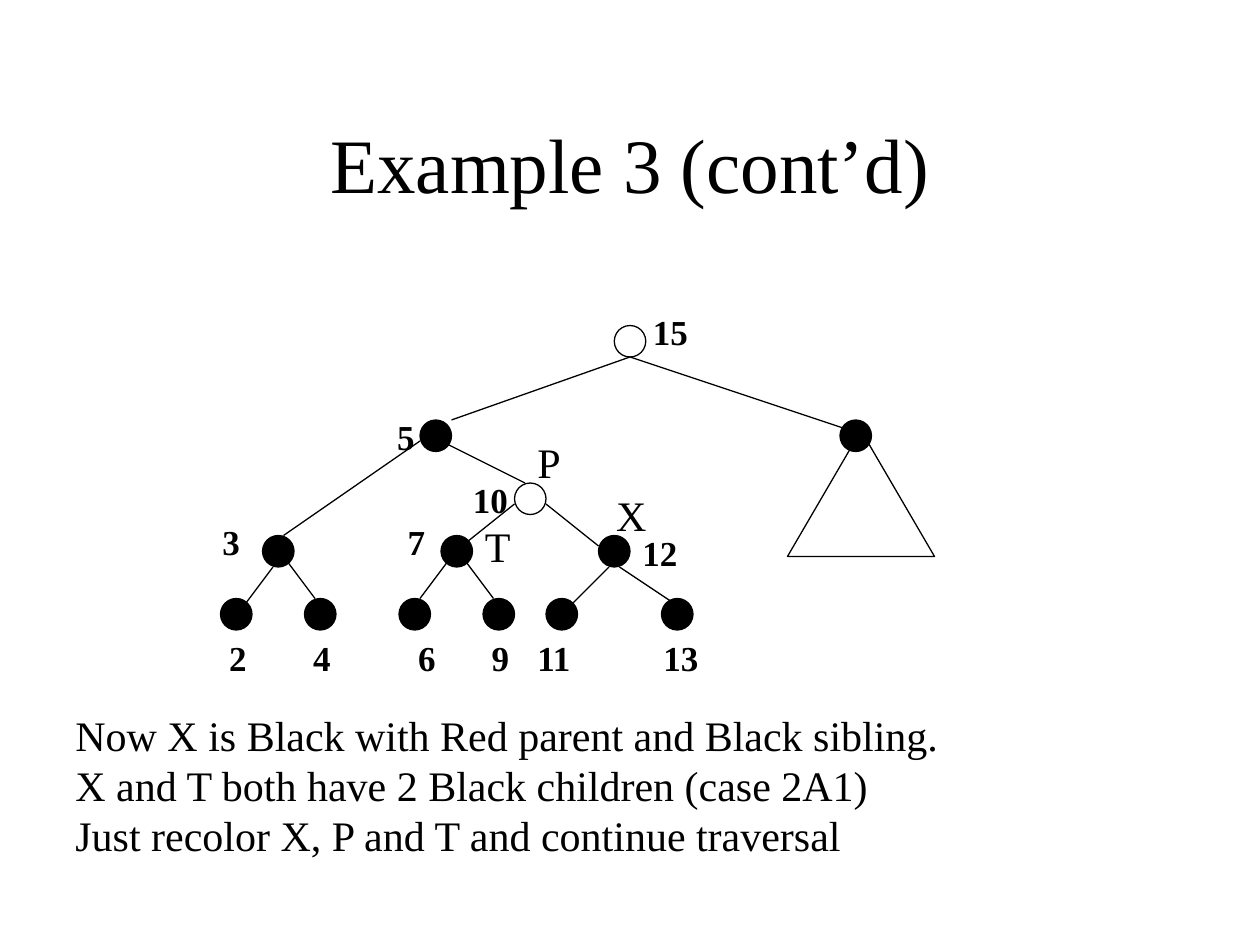
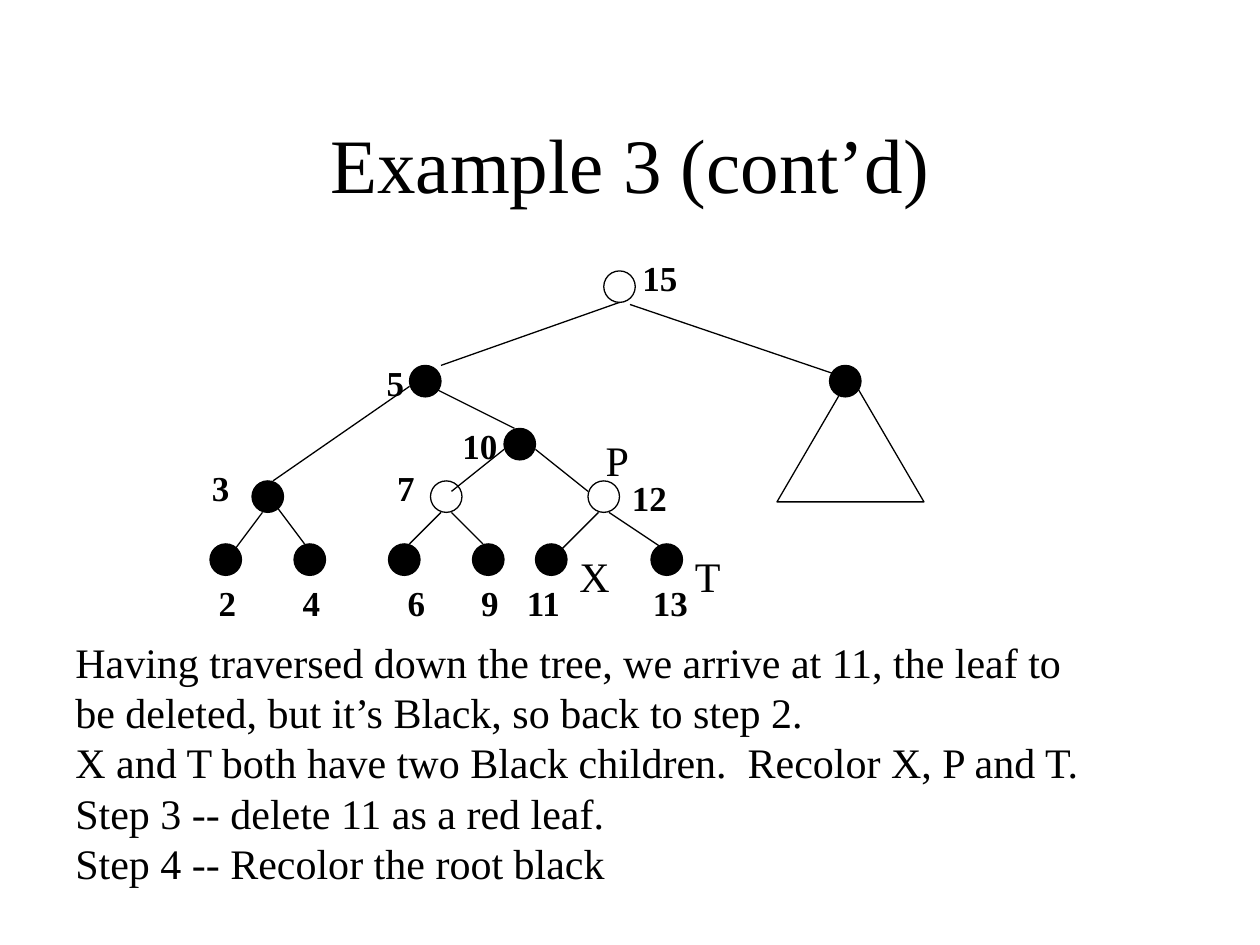
import pptx
import pptx.util
import pptx.dml.color
import pptx.enum.shapes
import pptx.enum.text
import pptx.oxml

Cm, Pt = pptx.util.Cm, pptx.util.Pt
SHAPES = pptx.enum.shapes.MSO_SHAPE
ANCHOR = pptx.enum.text.MSO_ANCHOR
ALIGN = pptx.enum.text.PP_ALIGN
AUTO_SIZE = pptx.enum.text.MSO_AUTO_SIZE

COLORS = {"ink": "000000", "paper": "FFFFFF"}
FONT = "Times New Roman"
FORMATS = {
    "title": {"name": FONT, "size": Pt(44), "bold": False},
    "key": {"name": FONT, "size": Pt(20), "bold": True},
    "body": {"name": FONT, "size": Pt(24), "bold": False},
}
TITLE = "Example 3 (cont’d)"

# The tree is laid out on a grid of twelfths of an inch
GRID = 2.54 / 12
NODE_SIZE = 3
INSET = 0.25

# key: (node x, node y, label x, label y, label indent in cm)
NODES = {
    "15": (58.5, 31, 61, 29, 0),
    "5": (40, 40, 35, 39, 0.35),
    "10": (49, 46, 43, 45, 0.18),
    "3": (25, 51, 20, 49, 0),
    "7": (42, 51, 36, 49, 0.35),
    "12": (57, 51, 60, 50, 0),
    "2": (21, 57, 19, 60, 0.35),
    "4": (29, 57, 27, 60, 0.35),
    "6": (38, 57, 37, 60, 0.35),
    "9": (46, 57, 44, 60, 0.35),
    "11": (52, 57, 50, 60, 0),
    "13": (63, 57, 62, 60, 0),
}
SUBTREE = (75, 41, 14, 12)
SUBTREE_ROOT = (80, 40)

# (parent, child): (from x, from y, to x, to y)
EDGES = {
    ("15", "5"): (60, 34, 43, 40),
    ("15", "subtree"): (60, 34, 81, 41),
    ("5", "3"): (40, 42, 27, 51),
    ("5", "10"): (42, 42, 50, 46),
    ("10", "7"): (49, 48, 44, 52),
    ("10", "12"): (52, 48, 57, 52),
    ("3", "2"): (26, 54, 23, 58),
    ("3", "4"): (27, 53, 30, 57),
    ("7", "6"): (43, 53, 40, 57),
    ("7", "9"): (44, 53, 47, 57),
    ("12", "11"): (58, 54, 53, 59),
    ("12", "13"): (59, 54, 65, 58),
}

STEPS = [
    {
        "shift": (0, 0),
        "red": {"15", "10"},
        "moved_edges": {},
        "markers": {"X": (57.5, 46), "P": (50, 41), "T": (45, 49)},
        "notes": (1.27, 14.17, 21.8, 3.3),
        "lines": [
            "Now X is Black with Red parent and Black sibling.",
            "X and T both have 2 Black children (case 2A1)",
            "Just recolor X, P and T and continue traversal",
        ],
    },
    {
        "shift": (-1, -5.2),
        "red": {"15", "7", "12"},
        "moved_edges": {
            ("15", "subtree"): (61, 34.2, 81, 41),
            ("7", "6"): (43, 54, 40, 57),
            ("7", "9"): (44, 54, 47, 57),
        },
        "markers": {"X": (55, 57), "P": (57.5, 46), "T": (66, 57)},
        "notes": (1.27, 12.7, 21.17, 5.33),
        "lines": [
            "Having traversed down the tree, we arrive at 11, the leaf to "
            "be deleted, but it’s Black, so back to step 2.",
            "X and T both have two Black children.  Recolor X, P and T.",
            "Step 3 -- delete 11 as a red leaf.",
            "Step 4 -- Recolor the root black",
        ],
    },
]


def color(name):
    return pptx.dml.color.RGBColor.from_string(COLORS[name])


def on_grid(*values):
    return [Cm(value * GRID) for value in values]


def add_text(slide, box, text, style, indent=0, **frame_values):
    """Place text in a box of lengths; line feeds become line breaks."""
    frame = slide.shapes.add_textbox(*box).text_frame
    frame_format = {
        "word_wrap": True,
        "auto_size": AUTO_SIZE.SHAPE_TO_FIT_TEXT,
        "margin_left": Cm(INSET + indent),
    }
    for name, value in {**frame_format, **frame_values}.items():
        setattr(frame, name, value)
    paragraph = frame.paragraphs[0]
    paragraph.text = text
    for run in paragraph.runs:
        for name, value in FORMATS[style].items():
            setattr(run.font, name, value)
        run.font.color.rgb = color("ink")
    return paragraph


def add_outline(slide, kind, box, filled):
    figure = slide.shapes.add_shape(kind, *box)
    figure.shadow.inherit = False
    if filled:
        figure.fill.solid()
        figure.fill.fore_color.rgb = color("ink")
    else:
        figure.fill.background()
    figure.line.color.rgb = color("ink")
    figure.line.width = Pt(0.75)


def add_node(slide, x, y, filled):
    box = on_grid(x, y, NODE_SIZE, NODE_SIZE)
    add_outline(slide, SHAPES.OVAL, box, filled)


def add_edge(slide, ends):
    edge = slide.shapes.add_connector(
        pptx.enum.shapes.MSO_CONNECTOR.STRAIGHT, *ends)
    edge.line.color.rgb = color("ink")
    edge.line.width = Pt(0.75)
    edge._element.spPr.append(pptx.oxml.parse_xml(
        '<a:effectLst xmlns:a='
        '"http://schemas.openxmlformats.org/drawingml/2006/main"/>'))


def add_tree(slide, step):
    dx, dy = step["shift"]

    # Collapsed right subtree
    x, y, width, height = SUBTREE
    add_outline(slide, SHAPES.ISOSCELES_TRIANGLE,
                on_grid(x + dx, y + dy, width, height), False)
    add_node(slide, SUBTREE_ROOT[0] + dx, SUBTREE_ROOT[1] + dy, True)

    # Nodes with their keys; red nodes stay hollow
    for key, (x, y, label_x, label_y, indent) in NODES.items():
        add_node(slide, x + dx, y + dy, key not in step["red"])
        width = 7 if key == "10" else 6
        add_text(slide, on_grid(label_x + dx, label_y + dy, width, 5.25),
                 key, "key", indent)

    # Edges
    for x1, y1, x2, y2 in {**EDGES, **step["moved_edges"]}.values():
        add_edge(slide, on_grid(x1 + dx, y1 + dy, x2 + dx, y2 + dy))

    # Letters naming the current node, its parent and its sibling
    for letter, (x, y) in step["markers"].items():
        add_text(slide, on_grid(x + dx, y + dy, 5, 6), letter, "body")


def add_step(deck, step):
    slide = deck.slides.add_slide(deck.slide_layouts[6])
    slide.background.fill.solid()
    slide.background.fill.fore_color.rgb = color("paper")

    title_box = [Cm(value) for value in (1.9, 1.7, 21.6, 3.18)]
    title = add_text(slide, title_box, TITLE, "title",
                     auto_size=AUTO_SIZE.NONE, vertical_anchor=ANCHOR.MIDDLE)
    title.alignment = ALIGN.CENTER

    add_tree(slide, step)
    notes_box = [Cm(value) for value in step["notes"]]
    add_text(slide, notes_box, "\n".join(step["lines"]), "body")


def main():
    deck = pptx.Presentation()
    deck.slide_width, deck.slide_height = Cm(25.4), Cm(19.05)
    for step in STEPS:
        add_step(deck, step)
    deck.save("out.pptx")


if __name__ == "__main__":
    main()
